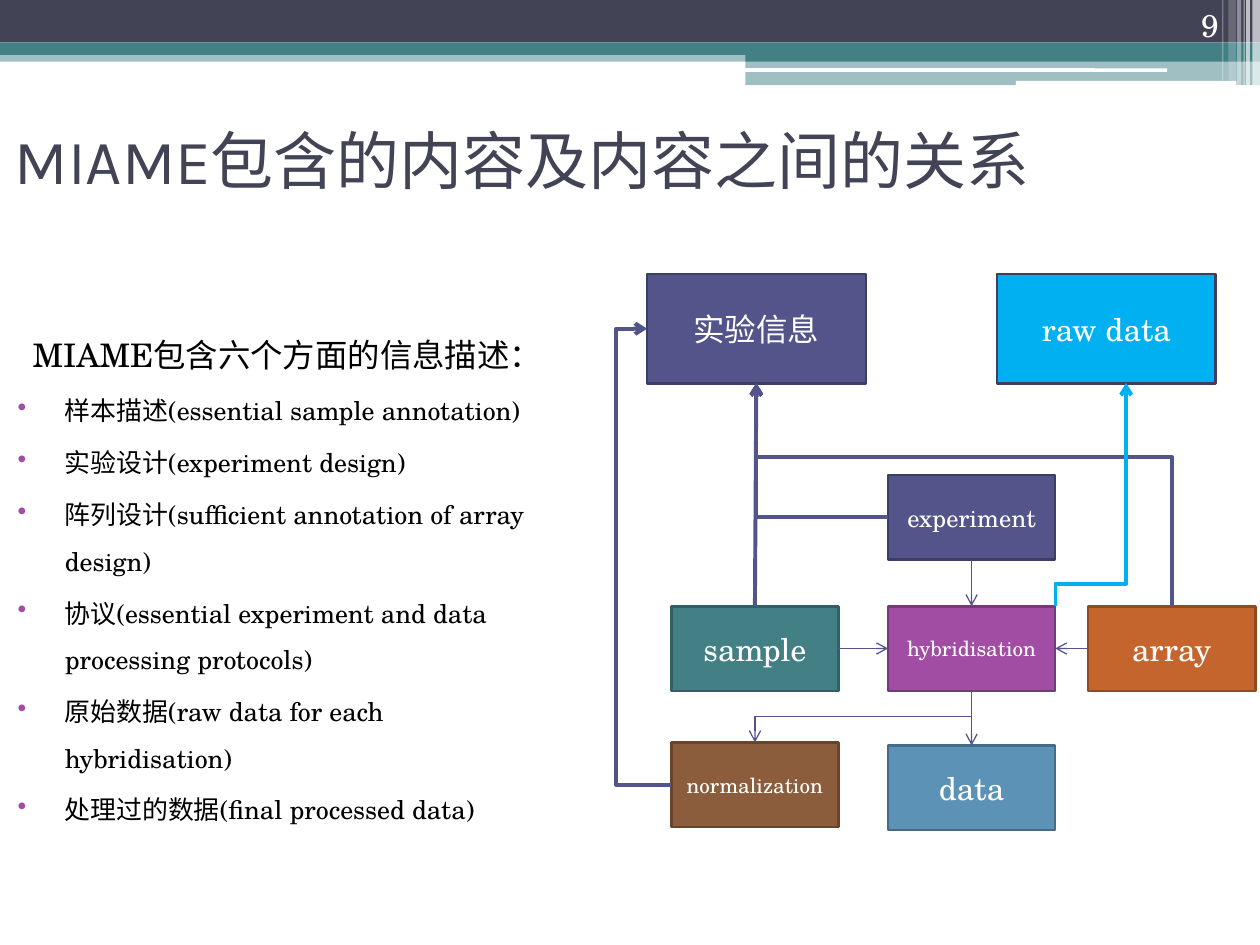
"""Build a slide on the contents of MIAME and how they relate."""
from lxml.etree import SubElement
from pptx import Presentation
from pptx.dml.color import RGBColor
from pptx.enum.shapes import MSO_CONNECTOR, MSO_SHAPE
from pptx.enum.text import MSO_ANCHOR, PP_ALIGN
from pptx.oxml.ns import qn
from pptx.util import Pt

WHITE = RGBColor(0xFF, 0xFF, 0xFF)
BLACK = RGBColor(0x00, 0x00, 0x00)
SLATE = RGBColor(0x42, 0x44, 0x56)
TEAL = RGBColor(0x43, 0x80, 0x86)
DARK_TEAL = RGBColor(0x32, 0x5F, 0x63)
INDIGO = RGBColor(0x53, 0x54, 0x8A)
DARK_INDIGO = RGBColor(0x3D, 0x3E, 0x66)
PURPLE = RGBColor(0xA0, 0x4D, 0xA3)
DARK_PURPLE = RGBColor(0x76, 0x39, 0x79)
ORANGE = RGBColor(0xC4, 0x65, 0x2D)
DARK_ORANGE = RGBColor(0x91, 0x4B, 0x21)
BROWN = RGBColor(0x8B, 0x5D, 0x3D)
DARK_BROWN = RGBColor(0x67, 0x45, 0x2D)
BLUE = RGBColor(0x5C, 0x92, 0xB5)
DARK_BLUE = RGBColor(0x44, 0x6C, 0x86)
SKY = RGBColor(0x00, 0xB0, 0xF0)
TITLE_FONT = "Karla"
BODY_FONT = "TeX Gyre Schola"

presentation = Presentation()
presentation.slide_width = Pt(720)
presentation.slide_height = Pt(540)
slide = presentation.slides.add_slide(presentation.slide_layouts[6])


def add_block(kind, left, top, width, height, color, opacity=100):
    shape = slide.shapes.add_shape(kind, Pt(left), Pt(top), Pt(width), Pt(height))
    shape.shadow.inherit = False
    shape.fill.solid()
    shape.fill.fore_color.rgb = color
    shape.line.fill.background()
    if opacity < 100:
        color_element = shape._element.spPr.find(qn("a:solidFill"))[0]
        SubElement(color_element, qn("a:alpha"), val=str(opacity * 1000))
    return shape


def add_arrow(kind, begin, end, color, width):
    connector = slide.shapes.add_connector(kind, *map(Pt, begin + end))
    connector.line.color.rgb = color
    connector.line.width = Pt(width)
    SubElement(connector.line._get_or_add_ln(), qn("a:tailEnd"), type="arrow")
    SubElement(connector._element.spPr, qn("a:effectLst"))
    return connector


bands = [
    (0, 28.8, 720, 6.5, TEAL, 50),
    (0, 0, 720, 24.2, SLATE, 100),
    (0, 24.2, 720, 7.2, TEAL, 100),
    (426, 28, 294, 7.2, TEAL, 100),
    (426, 35.2, 294, 13.5, TEAL, 50),
]
for band in bands:
    add_block(MSO_SHAPE.RECTANGLE, *band)

for left, top, width, height in [(425.8, 39, 241.2, 2), (580.5, 46.2, 126, 2.8)]:
    add_block(MSO_SHAPE.ROUNDED_RECTANGLE, left, top, width, height, WHITE)

stripes = [
    (715.7, 4.3, 49, 65),
    (712.1, 2.2, 49, 65),
    (710.6, 0.7, 49, 60),
    (707, 2.2, 49, 40),
    (702, 4.3, 46.1, 20),
    (698.4, 0.7, 46.1, 30),
]
for left, width, height, opacity in stripes:
    add_block(MSO_SHAPE.RECTANGLE, left, 0, width, height, WHITE, opacity)

labels = [
    ("MIAME包含的内容及内容之间的关系", (1.5, 49, 648, 84.2), MSO_ANCHOR.MIDDLE,
     PP_ALIGN.LEFT, 36, TITLE_FONT, SLATE),
    ("9", (643.7, 0, 59.8, 28.8), MSO_ANCHOR.BOTTOM,
     PP_ALIGN.RIGHT, 18, BODY_FONT, WHITE),
]
for text, frame, anchor, alignment, size, font_name, color in labels:
    text_frame = slide.shapes.add_textbox(*map(Pt, frame)).text_frame
    text_frame.word_wrap = True
    text_frame.vertical_anchor = anchor
    text_frame.text = text
    paragraph = text_frame.paragraphs[0]
    paragraph.alignment = alignment
    paragraph.font.size = Pt(size)
    paragraph.font.name = font_name
    paragraph.font.color.rgb = color

body_lines = [
    "MIAME包含六个方面的信息描述：",
    "样本描述(essential sample annotation)",
    "实验设计(experiment design)",
    "阵列设计(sufficient annotation of array design)",
    "协议(essential experiment and data processing protocols)",
    "原始数据(raw data for each hybridisation)",
    "处理过的数据(final processed data)",
]
body = slide.shapes.add_textbox(Pt(3), Pt(177), Pt(318), Pt(280)).text_frame
body.word_wrap = True
body.text = "\n".join(body_lines)
for index, paragraph in enumerate(body.paragraphs):
    paragraph.line_spacing = 1.5
    properties = paragraph._p.get_or_add_pPr()
    if index == 0:
        properties.set("marL", str(Pt(8.6)))
    else:
        paragraph.space_before = Pt(3)
        properties.set("marL", str(Pt(27)))
        properties.set("indent", str(Pt(-27)))
        bullet_color = SubElement(properties, qn("a:buClr"))
        SubElement(bullet_color, qn("a:srgbClr"), val=str(PURPLE))
        SubElement(properties, qn("a:buChar"), char="•")
    paragraph.font.size = Pt(14.8 if index else 18.5)
    paragraph.font.name = BODY_FONT
    paragraph.font.color.rgb = BLACK

SMALL = (95.5, 48.4)
LARGE = (125, 62.4)
boxes = [
    ("experiment", 507.5, 271.4, SMALL, INDIGO, DARK_INDIGO, 14),
    ("sample", 383.6, 346.4, SMALL, TEAL, DARK_TEAL, 18),
    ("hybridisation", 507.5, 346.4, SMALL, PURPLE, DARK_PURPLE, 12),
    ("array", 621.8, 346.4, SMALL, ORANGE, DARK_ORANGE, 18),
    ("normalization", 383.6, 424.2, SMALL, BROWN, DARK_BROWN, 12),
    ("data", 507.5, 426, SMALL, BLUE, DARK_BLUE, 18),
    ("实验信息", 369.8, 156.6, LARGE, INDIGO, DARK_INDIGO, 18),
    ("raw data", 569.8, 156.6, LARGE, SKY, DARK_INDIGO, 18),
]
for text, left, top, (width, height), fill, outline, size in boxes:
    box = add_block(MSO_SHAPE.RECTANGLE, left, top, width, height, fill)
    box.line.color.rgb = outline
    box.line.width = Pt(1.5)
    box.text_frame.word_wrap = True
    box.text_frame.vertical_anchor = MSO_ANCHOR.MIDDLE
    box.text_frame.text = text
    paragraph = box.text_frame.paragraphs[0]
    paragraph.alignment = PP_ALIGN.CENTER
    paragraph.font.size = Pt(size)
    paragraph.font.name = BODY_FONT
    paragraph.font.color.rgb = WHITE

straight_arrows = [
    ((479.1, 370.6), (507.5, 370.6), 0.75),
    ((555.2, 319.8), (555.2, 346.4), 0.75),
    ((621.8, 370.6), (603, 370.6), 0.75),
    ((555.2, 394.8), (555.2, 426), 0.75),
    ((431.4, 346.4), (432.2, 219), 2.25),
]
for begin, end, width in straight_arrows:
    add_arrow(MSO_CONNECTOR.STRAIGHT, begin, end, INDIGO, width)

bent_arrows = [
    ((478.6, 347.6), (508, 471.4), 90, "bentConnector3", 0.5, INDIGO, 0.75),
    ((432.2, 219), (507.5, 295.6), 180, "bentConnector2", None, INDIGO, 2.25),
    ((369.8, 187.8), (383.6, 448.4), 180, "bentConnector3", 2.29, INDIGO, 2.25),
    ((487.2, 401.4), (614.6, 164), 270, "bentConnector3", 0.67, INDIGO, 2.25),
    ((687, 302.8), (559.6, 262.4), 90, "bentConnector3", 0.1, SKY, 2.25),
]
for begin, end, rotation, preset, bend, color, width in bent_arrows:
    connector = add_arrow(MSO_CONNECTOR.ELBOW, begin, end, color, width)
    properties = connector._element.spPr
    properties.find(qn("a:xfrm")).set("rot", str(rotation * 60000))
    geometry = properties.find(qn("a:prstGeom"))
    geometry.set("prst", preset)
    if bend is not None:
        adjustments = geometry.find(qn("a:avLst"))
        SubElement(adjustments, qn("a:gd"), name="adj1", fmla=f"val {round(bend * 100000)}")

presentation.save("out.pptx")
